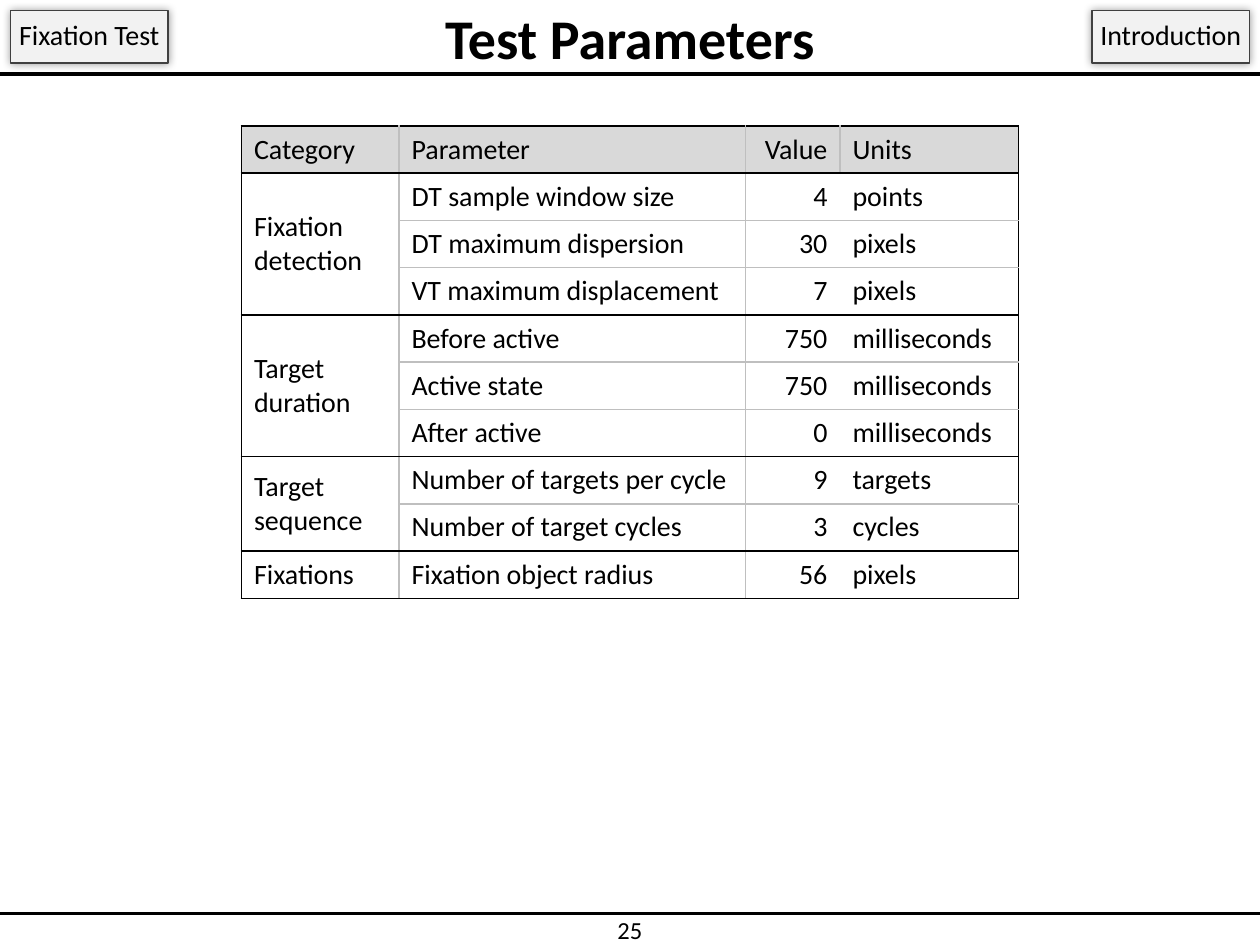
import pptx
import pptx.util
import pptx.dml.color
import pptx.enum.shapes
import pptx.enum.text
import pptx.oxml
import pptx.oxml.ns
from dataclasses import dataclass

Pt = pptx.util.Pt
RGB = pptx.dml.color.RGBColor.from_string
ALIGN = pptx.enum.text.PP_ALIGN
MIDDLE = pptx.enum.text.MSO_ANCHOR.MIDDLE
TOP = pptx.enum.text.MSO_ANCHOR.TOP
NS = pptx.oxml.ns.nsdecls("a")


@dataclass
class Theme:
    font: str = "Calibri"
    title: int = 32
    body: int = 16
    number: int = 14
    ink: str = "000000"
    grid: str = "BFBFBF"
    header: str = "D9D9D9"
    paper: str = "FFFFFF"
    tag: str = "F2F2F2"
    tag_line: str = "404040"


theme = Theme()

# Content
TITLE = "Test Parameters"
PAGE = "25"
TAGS = ["Fixation Test", "Introduction"]
HEADER = ["Category", "Parameter", "Value", "Units"]
GROUPS = [
    ("Fixation\ndetection", [
        ("DT sample window size", "4", "points"),
        ("DT maximum dispersion", "30", "pixels"),
        ("VT maximum displacement", "7", "pixels")]),
    ("Target\nduration", [
        ("Before active", "750", "milliseconds"),
        ("Active state", "750", "milliseconds"),
        ("After active", "0", "milliseconds")]),
    ("Target\nsequence", [
        ("Number of targets per cycle", "9", "targets"),
        ("Number of target cycles", "3", "cycles")]),
    ("Fixations", [("Fixation object radius", "56", "pixels")]),
]

# Layout, in points
WIDTH, HEIGHT = 720, 540
COLUMNS = [90, 198, 54, 102]
ROW_H, TABLE_TOP = 27, 72
TAG_W, TAG_H, TAG_GAP = 90, 30, 6
RULES = [(42.5, 2.25), (522, 2)]  # height on the slide, line width


def put_text(tf, text, size=theme.body, bold=False, align=ALIGN.LEFT, spacing=None):
    for i, line in enumerate(text.split("\n")):
        p = tf.add_paragraph() if i else tf.paragraphs[0]
        p.alignment = align
        if spacing:
            p.line_spacing = spacing
        r = p.add_run()
        r.text = line
        r.font.name, r.font.size, r.font.bold = theme.font, Pt(size), bold
        r.font.color.rgb = RGB(theme.ink)


def add_rule(s, y, width):
    line = s.shapes.add_connector(
        pptx.enum.shapes.MSO_CONNECTOR.STRAIGHT, 0, Pt(y), Pt(WIDTH), Pt(y))
    line.line.color.rgb = RGB(theme.ink)
    line.line.width = Pt(width)
    line._element.spPr.append(pptx.oxml.parse_xml(f"<a:effectLst {NS}/>"))


def add_tag(s, text, left):
    sp = s.shapes.add_shape(pptx.enum.shapes.MSO_SHAPE.RECTANGLE,
                            Pt(left), Pt(TAG_GAP), Pt(TAG_W), Pt(TAG_H))
    sp.fill.solid()
    sp.fill.fore_color.rgb = RGB(theme.tag)
    sp.line.color.rgb = RGB(theme.tag_line)
    sp.line.width = Pt(0.75)
    sp.shadow.inherit = False
    effects = sp._element.spPr.find(pptx.oxml.ns.qn("a:effectLst"))
    effects.append(pptx.oxml.parse_xml(
        f'<a:outerShdw {NS} blurRad="{Pt(5)}" dist="0" dir="0">'
        f'<a:srgbClr val="{theme.ink}"><a:alpha val="40000"/></a:srgbClr></a:outerShdw>'))
    sp.text_frame.word_wrap = False
    sp.text_frame.vertical_anchor = MIDDLE
    put_text(sp.text_frame, text, align=ALIGN.CENTER, spacing=0.9)


def set_border(cell, side, color):
    paint = f'<a:solidFill><a:srgbClr val="{color}"/></a:solidFill>' if color else "<a:noFill/>"
    cell._tc.get_or_add_tcPr().append(pptx.oxml.parse_xml(
        f'<a:ln{side} {NS} w="{Pt(1)}">{paint}</a:ln{side}>'))


def vertical_color(edge, row):
    if edge in (0, len(COLUMNS)):
        return theme.ink
    # A value and its unit read as one field below the header
    return None if edge == 3 and row else theme.grid


def add_parameter_table(s):
    rows, group_edges = [HEADER], {0, 1}
    for category, params in GROUPS:
        for i, param in enumerate(params):
            rows.append(["" if i else category, *param])
        group_edges.add(len(rows))

    width = sum(COLUMNS)
    table = s.shapes.add_table(
        len(rows), len(COLUMNS), Pt((WIDTH - width) / 2), Pt(TABLE_TOP),
        Pt(width), Pt(ROW_H * len(rows))).table
    table.first_row = table.horz_banding = False
    for column, w in zip(table.columns, COLUMNS):
        column.width = Pt(w)

    for r, values in enumerate(rows):
        table.rows[r].height = Pt(ROW_H)
        for c, value in enumerate(values):
            cell = table.cell(r, c)
            cell.vertical_anchor = MIDDLE
            if value:
                put_text(cell.text_frame, value, align=ALIGN.RIGHT if c == 2 else ALIGN.LEFT)
            set_border(cell, "L", vertical_color(c, r))
            set_border(cell, "R", vertical_color(c + 1, r))
            for side, edge in (("T", r), ("B", r + 1)):
                inner = None if c == 0 else theme.grid
                set_border(cell, side, theme.ink if edge in group_edges else inner)
            cell.fill.solid()
            cell.fill.fore_color.rgb = RGB(theme.paper if r else theme.header)

    # Each category spans the rows of its group
    start = 1
    for _, params in GROUPS:
        end = start + len(params)
        if len(params) > 1:
            table.cell(start, 0).merge(table.cell(end - 1, 0))
        start = end


def main():
    prs = pptx.Presentation()
    prs.slide_width, prs.slide_height = Pt(WIDTH), Pt(HEIGHT)
    s = prs.slides.add_slide(prs.slide_layouts[5])

    # Frame rules and page number
    for y, width in RULES:
        add_rule(s, y, width)
    number = s.shapes.add_textbox(Pt(334), Pt(522.7), Pt(52), Pt(17))
    tf = number.text_frame
    tf.word_wrap = True
    tf.margin_top = tf.margin_bottom = 0
    tf.vertical_anchor = TOP
    put_text(tf, PAGE, size=theme.number, align=ALIGN.CENTER)

    # Title
    title = s.shapes.title
    title.left, title.top, title.width, title.height = 0, 0, Pt(WIDTH), Pt(42)
    title.text_frame.vertical_anchor = MIDDLE
    title.text_frame.auto_size = pptx.enum.text.MSO_AUTO_SIZE.NONE
    put_text(title.text_frame, TITLE, size=theme.title, bold=True, align=ALIGN.CENTER)

    # Parameters and corner tags
    add_parameter_table(s)
    for text, left in zip(TAGS, (TAG_GAP, WIDTH - TAG_GAP - TAG_W)):
        add_tag(s, text, left)

    prs.save("out.pptx")


if __name__ == "__main__":
    main()
